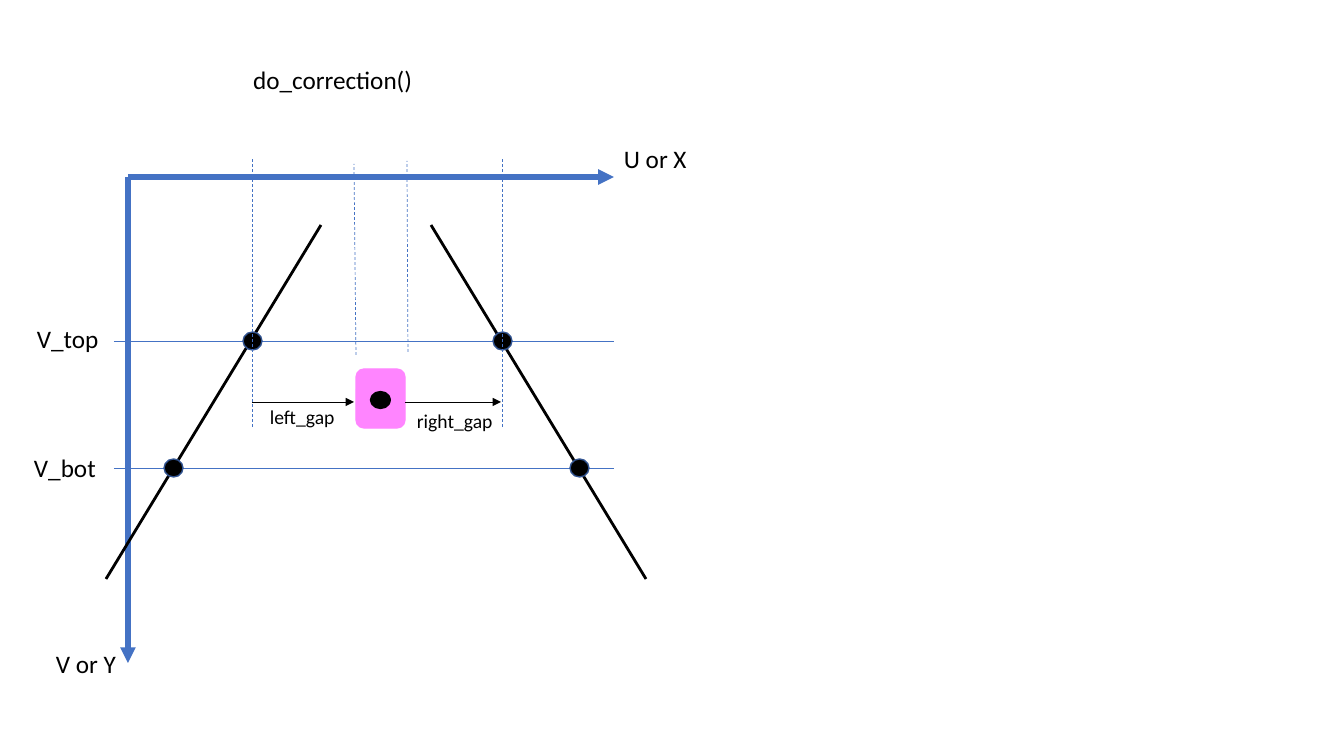
import pptx
import pptx.util
import pptx.dml.color
import pptx.enum.dml
import pptx.enum.shapes
import pptx.enum.text
import pptx.oxml.ns
from lxml import etree

PX = 914400 / 100.8
HUE = {"axis": "4472C4", "ink": "000000", "edge": "325491", "car": "FF85FF"}
KIND = pptx.enum.shapes.MSO_SHAPE
rgb = pptx.dml.color.RGBColor.from_string
qn = pptx.oxml.ns.qn


def emu(*nums):
    """Turn pixels into EMU."""
    return [round(n * PX) for n in nums]


def style(item, fill, edge, width):
    """Set fill, outline and shadow; a fill of None marks a connector."""
    if fill:
        item.fill.solid()
        item.fill.fore_color.rgb = rgb(HUE[fill])
        item.shadow.inherit = False
    else:
        etree.SubElement(item.line._get_or_add_ln().getparent(), qn("a:effectLst"))
    item.line.color.rgb = rgb(HUE[edge])
    item.line.width = pptx.util.Pt(width)


deck = pptx.Presentation()
deck.slide_width, deck.slide_height = emu(1344, 756)
slide = deck.slides.add_slide(deck.slide_layouts[5])
shapes = slide.shapes

left, right = 252, 502
top, bot = 341, 468

# Axes, levels, lane edges; then dashed guides and gap arrows over the dots
under = [
    (128, 177, 614, 177, "axis", 3.75, "arrow"),
    (128, 177, 128, 663, "axis", 3.75, "arrow"),
    (114, top, 614, top, "axis", 0.5, ""),
    (114, bot, 614, bot, "axis", 0.5, ""),
    (321, 225, 106, 579, "ink", 2, ""),
    (431, 225, 646, 579, "ink", 2, ""),
]
over = [
    (right, 427, right, 159, "axis", 0.5, "dash"),
    (left, 427, left, 159, "axis", 0.5, "dash"),
    (356, 355, 354, 164, "axis", 0.5, "dash"),
    (408, 352, 407, 161, "axis", 0.5, "dash"),
    (left, 402, 354, 402, "ink", 0.5, "arrow"),
    (405, 402, 501, 402, "ink", 0.5, "arrow"),
]
for layer in (under, over):
    if layer is over:
        # Car with a plain center dot
        car = shapes.add_group_shape().shapes
        body = car.add_shape(KIND.ROUNDED_RECTANGLE, *emu(356, 369, 49, 59))
        style(body, "car", "car", 1)
        mid = car.add_shape(KIND.OVAL, *emu(372, 393, 17, 14))
        style(mid, "ink", "ink", 3)
        # Points where lane edges meet the levels
        for x, y in ((left, top), (right, top), (173, bot), (579, bot)):
            dot = shapes.add_shape(KIND.OVAL, *emu(x - 9, y - 9, 19, 18))
            style(dot, "ink", "edge", 1)
    for x1, y1, x2, y2, hue, width, look in layer:
        line = shapes.add_connector(pptx.enum.shapes.MSO_CONNECTOR.STRAIGHT,
                                    *emu(x1, y1, x2, y2))
        style(line, None, hue, width)
        if look == "dash":
            line.line.dash_style = pptx.enum.dml.MSO_LINE.DASH
        elif look == "arrow":
            tail = etree.SubElement(line.line._get_or_add_ln(), qn("a:tailEnd"))
            tail.set("type", "triangle")

labels = [
    ("do_correction()", 243, 59, 183, 40, 18),
    ("U or X", 614, 138, 84, 40, 18),
    ("V or Y", 46, 643, 82, 40, 18),
    ("V_top", 27, 318, 83, 40, 18),
    ("V_bot", 24, 447, 83, 40, 18),
    ("left_gap", 260, 400, 87, 34, 14),
    ("right_gap", 407, 404, 97, 34, 14),
]
for num, (words, x, y, wide, high, size) in enumerate(labels):
    area = emu(x, y, wide, high)
    box = shapes.add_textbox(*area) if num else shapes.title
    box.left, box.top, box.width, box.height = area
    frame = box.text_frame
    frame.word_wrap = False
    frame.auto_size = pptx.enum.text.MSO_AUTO_SIZE.SHAPE_TO_FIT_TEXT
    frame.vertical_anchor = pptx.enum.text.MSO_ANCHOR.TOP
    para = frame.paragraphs[0]
    para.alignment = pptx.enum.text.PP_ALIGN.LEFT
    run = para.add_run()
    run.text = words
    run.font.name = "Calibri"
    run.font.size = pptx.util.Pt(size)
    run.font.color.rgb = rgb(HUE["ink"])

deck.save("out.pptx")
